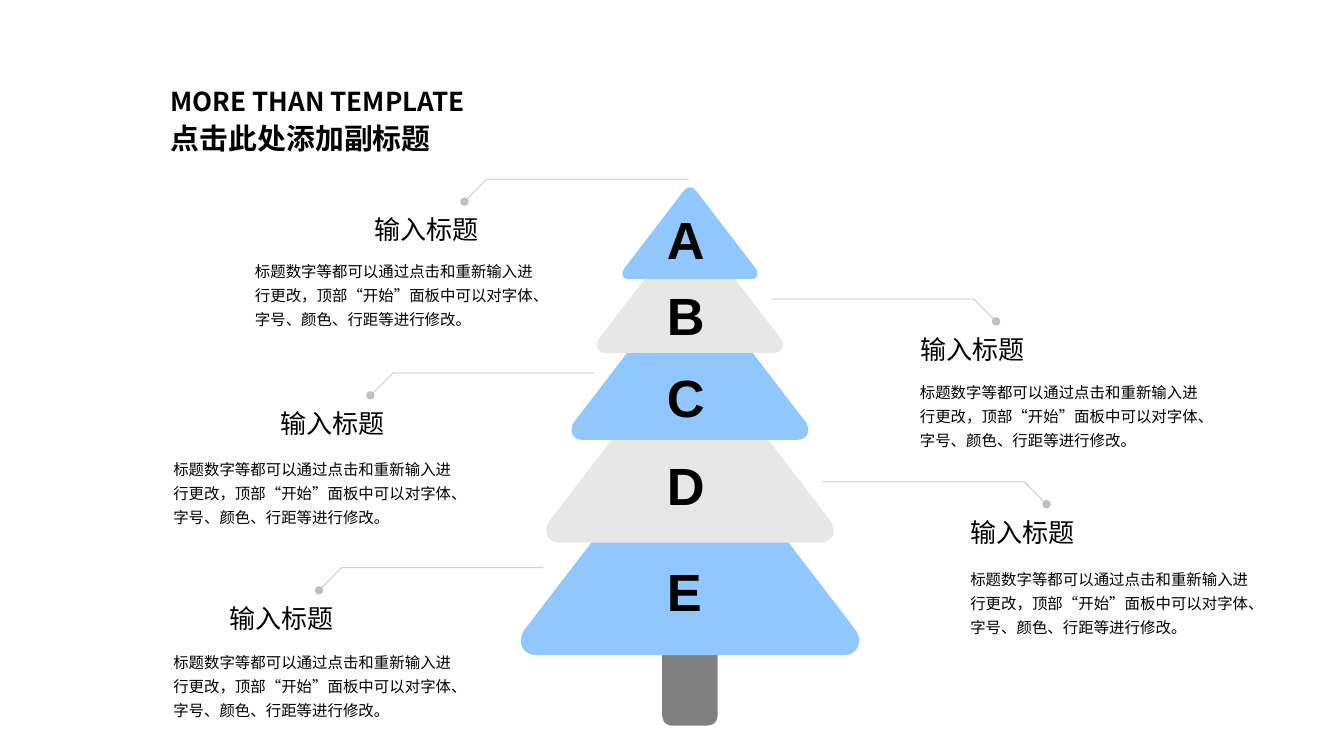
import pptx
import pptx.dml.color
import pptx.enum.shapes
import pptx.enum.text
import pptx.oxml.ns
import pptx.util
from lxml import etree

RGBColor = pptx.dml.color.RGBColor
BLACK = RGBColor(0x00, 0x00, 0x00)
BLUE = RGBColor(0x90, 0xC7, 0xFF)
PALE = RGBColor(0xE7, 0xE7, 0xE7)
TRUNK = RGBColor(0x80, 0x80, 0x80)
LEADER = RGBColor(0xBF, 0xBF, 0xBF)
LATIN, CHINESE = "Arial", "Noto Sans CJK SC"

# Content; places are columns and rows of a grid with 0.1 inch cells
CELL = pptx.util.Inches(0.1)
TITLE = [("MORE THAN TEMPLATE", 18.6), ("点击此处添加副标题", 20.6)]
HEADING = "输入标题"
BODY = ("标题数字等都可以通过点击和重新输入进行更改，顶部“开始”面板中可以对字体、"
        "字号、颜色、行距等进行修改。")
# letter, letter row, tier bottom row, scale, colour
TIERS = [
    ("A", 20.1, 27.7, 0.4, BLUE),
    ("B", 27.6, 35.0, 0.55, PALE),
    ("C", 35.7, 43.64, 0.7, BLUE),
    ("D", 44.5, 53.84, 0.85, PALE),
    ("E", 54.94, 65.0, 1.0, BLUE),
]
# leader start column and row, direction, body column and row
NOTES = [
    (68.3, 17.78, -1, 24.3, 25.0),
    (58.97, 37.0, -1, 16.2, 44.6),
    (53.87, 56.34, -1, 16.2, 63.8),
    (76.57, 29.66, 1, 90.25, 37.0),
    (81.57, 47.8, 1, 95.25, 55.55),
]
TREE_AXIS = 68.43
LEADER_RUN, LEADER_DROP = 20, 2.23
# Right foot and tip of the largest tier: Bezier points from axis and bottom
FOOT = [(15.25, 0), (16.65, 0), (17.25, -1.4), (16.35, -2.6)]
TIP = [(1.55, -21.9), (0.65, -23.1), (-0.65, -23.1), (-1.55, -21.9)]

presentation = pptx.Presentation()
presentation.slide_width = pptx.util.Inches(13.33)
presentation.slide_height = pptx.util.Inches(7.5)
slide = presentation.slides.add_slide(presentation.slide_layouts[5])


def cells(*values):
    return [round(value * CELL) for value in values]


def add_outline(points, close):
    points = [cells(*point) for point in points]
    builder = slide.shapes.build_freeform(*points[0], scale=1.0)
    builder.add_line_segments(points[1:], close=close)
    shape = builder.convert_to_shape()
    shape.shadow.inherit = False
    return shape


def round_corners(shape):
    """Turn each corner's three line segments into one Bezier curve."""
    lines = list(shape._element.iter(pptx.oxml.ns.qn("a:lnTo")))
    for first in range(0, len(lines), 4):
        curve = etree.Element(pptx.oxml.ns.qn("a:cubicBezTo"))
        lines[first].addprevious(curve)
        for line in lines[first:first + 3]:
            curve.append(line[0])
            line.getparent().remove(line)


def paint(shape, colour):
    shape.fill.solid()
    shape.fill.fore_color.rgb = colour
    shape.line.fill.background()


def add_run(paragraph, text, size, font, bold=False):
    run = paragraph.add_run()
    run.text = text
    run.font.size = pptx.util.Pt(size)
    run.font.name = font
    run.font.bold = bold
    run.font.color.rgb = BLACK
    east_asian = etree.SubElement(run.font._element, pptx.oxml.ns.qn("a:ea"))
    east_asian.set("typeface", CHINESE)


def add_text(place, text, size, font, bold=False, wrap=False, spacing=None):
    frame = slide.shapes.add_textbox(*cells(*place)).text_frame
    frame.word_wrap = wrap
    frame.auto_size = pptx.enum.text.MSO_AUTO_SIZE.SHAPE_TO_FIT_TEXT
    paragraph = frame.paragraphs[0]
    paragraph.line_spacing = spacing
    add_run(paragraph, text, size, font, bold)


# Title
title = slide.shapes.title
title.left, title.top, title.width, title.height = cells(15.93, 7.65, 33, 8.3)
frame = title.text_frame
frame.auto_size = pptx.enum.text.MSO_AUTO_SIZE.NONE
frame.vertical_anchor = pptx.enum.text.MSO_ANCHOR.MIDDLE
for index, (text, size) in enumerate(TITLE):
    paragraph = frame.add_paragraph() if index else frame.paragraphs[0]
    paragraph.alignment = pptx.enum.text.PP_ALIGN.LEFT
    paragraph.line_spacing = 1.1
    paragraph.space_before = pptx.util.Pt(0)
    add_run(paragraph, text, size, CHINESE, True)

# Trunk, then tiers from the bottom up
trunk = slide.shapes.add_shape(pptx.enum.shapes.MSO_SHAPE.ROUNDED_RECTANGLE,
                               *cells(65.67, 63, 5.5, 9))
trunk.adjustments[0] = 0.18
trunk.shadow.inherit = False
paint(trunk, TRUNK)

left_foot = [(-x, y) for x, y in reversed(FOOT)]
for letter, letter_row, bottom, scale, colour in reversed(TIERS):
    tier = add_outline([(TREE_AXIS + x * scale, bottom + y * scale)
                        for x, y in FOOT + TIP + left_foot], True)
    round_corners(tier)
    paint(tier, colour)

# Letters
for letter, letter_row, *_ in TIERS:
    width = 5.5 if letter == "E" else 5.8
    add_text((65.16, letter_row, width, 7.3), letter, 37.4, LATIN, bold=True)

# Leaders, headings and notes
for column, row, direction, body_column, body_row in NOTES:
    bend = column + direction * LEADER_RUN
    dot = bend + direction * LEADER_DROP
    leader = add_outline([(column, row), (bend, row), (dot, row + LEADER_DROP)], False)
    leader.fill.background()
    leader.line.color.rgb = LEADER
    leader.line.width = pptx.util.Pt(0.5)
    tail = etree.SubElement(leader.line._get_or_add_ln(), pptx.oxml.ns.qn("a:tailEnd"))
    tail.set("type", "oval")

    heading_column = dot - (9.9 if direction < 0 else 8.53)
    add_text((heading_column, row + 2.92, 12.5, 4.2), HEADING, 18.6, LATIN)
    add_text((body_column, body_row, 30.1, 8.2), BODY, 11, CHINESE, wrap=True, spacing=1.3)

presentation.save("out.pptx")
